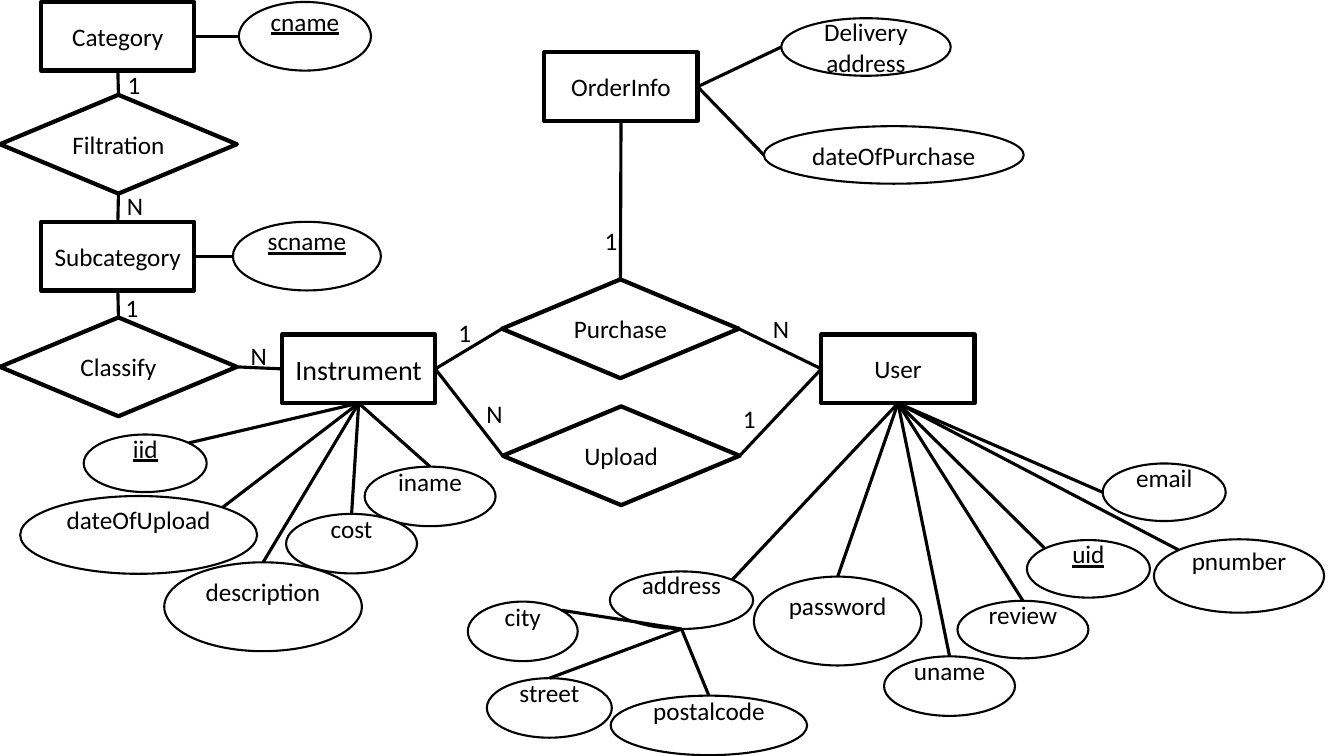
from pptx import Presentation
from pptx.dml.color import RGBColor
from pptx.enum.shapes import MSO_CONNECTOR, MSO_SHAPE
from pptx.enum.text import MSO_ANCHOR, PP_ALIGN
from pptx.oxml.ns import qn
from pptx.util import Cm, Pt
from lxml.etree import SubElement

# Places and sizes are in centimetres
SLIDE_SIZE = (33.87, 19.05)
ENTITY_SIZE = (3.86, 1.73)
RELATION_SIZE = (5.97, 2.49)
LABEL_SIZE = (1, 1.02)
LINE_HEIGHT = 0.77
BLACK, WHITE = "000000", "FFFFFF"

ENTITIES = {
    "Category": (1.04, 0.05),
    "Instrument": (7.11, 8.43),
    "Subcategory": (1.04, 5.59),
    "User": (20.7, 8.43),
    "OrderInfo": (13.72, 1.32),
}
RELATIONS = {
    "Upload": (12.67, 10.24),
    "Filtration": (0, 2.39),
    "Classify": (0, 8),
    "Purchase": (12.65, 7.04),
}
# relation, its side, entity, its side, cardinality, place of the cardinality
ROLES = [
    ("Upload", "right", "User", "left", "1", (18.47, 10.03)),
    ("Upload", "left", "Instrument", "right", "N", (12.01, 9.91)),
    ("Filtration", "top", "Category", "bottom", "1", (2.97, 1.63)),
    ("Filtration", "bottom", "Subcategory", "top", "N", (2.95, 4.67)),
    ("Classify", "right", "Instrument", "left", "N", (6.07, 8.46)),
    ("Classify", "top", "Subcategory", "bottom", "1", (2.92, 7.24)),
    ("Purchase", "left", "Instrument", "right", "1", (11.3, 7.87)),
    ("Purchase", "right", "User", "left", "N", (19.23, 7.77)),
    ("Purchase", "top", "OrderInfo", "bottom", "1", (14.99, 5.56)),
]
# owner, its side: attribute, box, side that meets the line
ATTRIBUTES = {
    ("Category", "right"): [("cname", (6.02, 0.05, 3.33, 1.73), "left")],
    ("Subcategory", "right"): [("scname", (5.87, 5.59, 3.73, 1.73), "left")],
    ("OrderInfo", "right"): [
        ("Delivery address", (19.69, 0.46, 4.27, 1.45), "left"),
        ("dateOfPurchase", (19.25, 3.18, 6.55, 1.45), "left"),
    ],
    ("Instrument", "bottom"): [
        ("iid", (2.11, 10.95, 3.1, 1.45), "top right"),
        ("iname", (9.19, 11.76, 3.3, 1.5), "top"),
        ("cost", (7.21, 12.95, 3.3, 1.5), "top"),
        ("description", (4.14, 14.17, 4.98, 2.24), "top"),
        ("dateOfUpload", (0.51, 12.5, 5.97, 1.96), "top right"),
    ],
    ("User", "bottom"): [
        ("uid", (25.88, 13.61, 3.1, 1.45), "top left"),
        ("pnumber", (29.08, 13.59, 4.29, 1.85), "top left"),
        ("password", (19, 14.53, 4.22, 2.24), "top"),
        ("review", (24.13, 15.14, 3.3, 1.45), "top"),
        ("address", (15.37, 14.4, 3.61, 1.45), "top right"),
        ("uname", (22.28, 16.54, 3.3, 1.5), "top"),
        ("email", (27.79, 11.68, 3.1, 1.45), "left"),
    ],
    ("address", "bottom"): [
        ("city", (11.79, 15.16, 2.77, 1.5), "top right"),
        ("street", (12.27, 17.09, 3.15, 1.5), "top"),
        ("postalcode", (15.39, 17.53, 4.95, 1.5), "top"),
    ],
}
KEYS = {"cname", "scname", "iid", "uid"}
CENTRED_OWNERS = {"OrderInfo"}

SITES = {"top": 0, "left": 1, "bottom": 2, "right": 3}
# Share of width and height at which each side meets a line
SPOTS = {
    "top": (0.5, 0), "left": (0, 0.5), "bottom": (0.5, 1), "right": (1, 0.5),
    "top left": (0.146, 0.146), "top right": (0.854, 0.146),
}


def color(value):
    return RGBColor.from_string(value)


def write(frame, text, size=18, align=PP_ALIGN.CENTER, underline=None):
    frame.word_wrap = True
    paragraph = frame.paragraphs[0]
    paragraph.alignment = align
    run = paragraph.add_run()
    run.text = text
    run.font.name = "Calibri"
    run.font.size = Pt(size)
    run.font.underline = underline
    run.font.color.rgb = color(BLACK)


def add_node(kind, box, text, weight=3, fill=None, **text_format):
    node = slide.shapes.add_shape(kind, *map(Cm, box))
    node.shadow.inherit = False
    node.line.color.rgb = color(BLACK)
    node.line.width = Pt(weight)
    if fill:
        node.fill.solid()
        node.fill.fore_color.rgb = color(fill)
    else:
        node.fill.background()
    node.text_frame.vertical_anchor = MSO_ANCHOR.MIDDLE
    write(node.text_frame, text, **text_format)
    return node


def add_attribute(name, box, raised):
    """Draw an ellipse; raised text sits half a line above the middle."""
    ellipse = add_node(MSO_SHAPE.OVAL, box, name, weight=1.5, fill=WHITE,
                       underline=True if name in KEYS else None)
    frame = ellipse.text_frame
    frame.margin_left = frame.margin_right = Cm(0.13)
    frame.margin_top = 0
    frame.margin_bottom = Cm(LINE_HEIGHT if raised else 0)
    return ellipse


def spot(node, side):
    across, down = SPOTS[side]
    return (int(node.left + across * node.width),
            int(node.top + down * node.height))


def link(start, start_side, end, end_side):
    line = slide.shapes.add_connector(
        MSO_CONNECTOR.STRAIGHT, *spot(start, start_side), *spot(end, end_side))
    for node, side, connect in ((start, start_side, line.begin_connect),
                                (end, end_side, line.end_connect)):
        if node.auto_shape_type != MSO_SHAPE.OVAL:
            connect(node, SITES[side])
    line.line.color.rgb = color(BLACK)
    line.line.width = Pt(2.25)
    SubElement(line._element.spPr, qn("a:effectLst"))


deck = Presentation()
deck.slide_width, deck.slide_height = map(Cm, SLIDE_SIZE)
slide = deck.slides.add_slide(deck.slide_layouts[6])

nodes = {}
for name, place in ENTITIES.items():
    nodes[name] = add_node(MSO_SHAPE.RECTANGLE, place + ENTITY_SIZE, name,
                           size=20 if name == "Instrument" else 18)
for name, place in RELATIONS.items():
    nodes[name] = add_node(MSO_SHAPE.FLOWCHART_DECISION,
                           place + RELATION_SIZE, name)
for (owner, _), attributes in ATTRIBUTES.items():
    for name, box, _ in attributes:
        nodes[name] = add_attribute(name, box, owner not in CENTRED_OWNERS)

for (owner, owner_side), attributes in ATTRIBUTES.items():
    for name, _, side in attributes:
        link(nodes[owner], owner_side, nodes[name], side)
for relation, relation_side, entity, entity_side, cardinality, place in ROLES:
    link(nodes[relation], relation_side, nodes[entity], entity_side)
    label = slide.shapes.add_textbox(*map(Cm, place + LABEL_SIZE))
    write(label.text_frame, cardinality, align=PP_ALIGN.LEFT)

deck.save("out.pptx")
